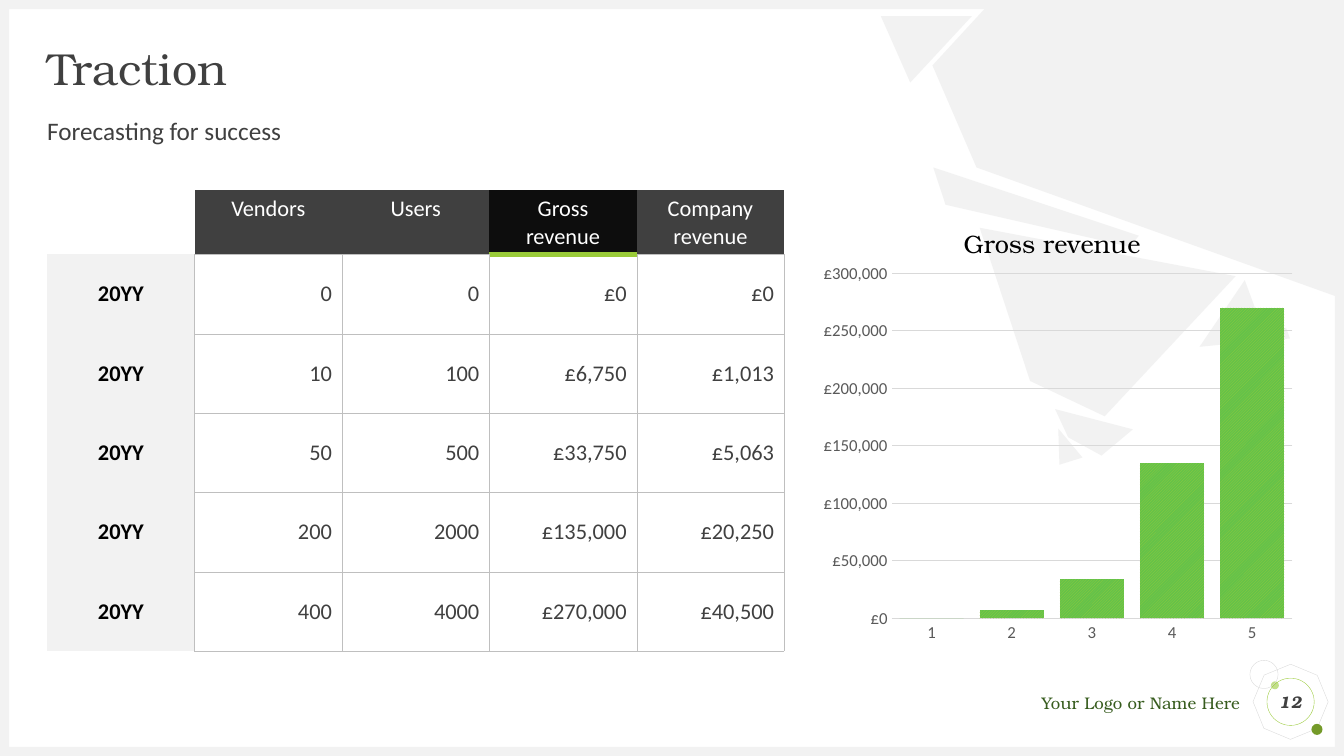
from lxml.etree import SubElement
from pptx import Presentation
from pptx.chart.data import CategoryChartData
from pptx.dml.color import RGBColor
from pptx.enum.chart import XL_CHART_TYPE, XL_TICK_MARK
from pptx.enum.dml import MSO_PATTERN
from pptx.enum.shapes import MSO_SHAPE
from pptx.enum.text import MSO_ANCHOR, PP_ALIGN
from pptx.oxml import parse_xml
from pptx.oxml.ns import nsdecls, qn
from pptx.util import Cm, Pt

SERIF, SANS = "TeX Gyre Bonum", "Calibri"
DARK, PALE, GRID, LINE, LIME = "404040", "F2F2F2", "BFBFBF", "D9D9D9", "9ACB39"
WIDTH, HEIGHT, EDGE = 33.87, 19.05, 0.23
MARGIN, CONTENT_TOP = 1.19, 4.8

HEADERS = ["", "Vendors", "Users", "Gross revenue", "Company revenue"]
ROWS = [
    ["20YY", "0", "0", "£0", "£0"],
    ["20YY", "10", "100", "£6,750", "£1,013"],
    ["20YY", "50", "500", "£33,750", "£5,063"],
    ["20YY", "200", "2000", "£135,000", "£20,250"],
    ["20YY", "400", "4000", "£270,000", "£40,500"],
]
HIGHLIGHT = HEADERS.index("Gross revenue")
TABLE_WIDTH, HEADER_HEIGHT, ROW_HEIGHT = 18.57, 1.6, 2.0

CHART_TITLE = "Gross revenue"
CHART_VALUES = {"1": 0, "2": 7000, "3": 34000, "4": 135000, "5": 270000}
CHART_BOX = (20.52, CONTENT_TOP, 12.17, 11.6)
TITLE_LAYOUT = {"xMode": "edge", "yMode": "edge", "x": 0.3, "y": 0.06}
PLOT_LAYOUT = {"layoutTarget": "inner", "xMode": "edge", "yMode": "edge",
               "x": 0.16, "y": 0.18, "w": 0.83, "h": 0.75}

# Text, box, format of the span, format of the paragraph, anchor
TEXTS = [
    ("Your Logo or Name Here", (24.26, 17.45, 6.99, 0.51),
     {"name": SERIF, "size": Pt(12), "color": "375C1E"},
     {"alignment": PP_ALIGN.RIGHT}, MSO_ANCHOR.TOP),
    ("Traction", (MARGIN, 1.19, 31.5, 1.19),
     {"name": SERIF, "size": Pt(32), "color": DARK},
     {"line_spacing": 0.9}, MSO_ANCHOR.MIDDLE),
    ("Forecasting for success", (MARGIN, 3, 31.5, 0.76),
     {"name": SANS, "size": Pt(18), "color": DARK},
     {"line_spacing": 0.9, "space_before": Pt(10)}, MSO_ANCHOR.TOP),
]
FRAME = [
    (0, HEIGHT - EDGE, WIDTH, EDGE),
    (0, 0, WIDTH, EDGE),
    (0, 0, EDGE, HEIGHT),
    (WIDTH - EDGE, 0, EDGE, HEIGHT),
]
SHARDS = [
    [(22.2, 0.41), (24.49, 0.41), (22.94, 2.08)],
    [(25.02, 0), (33.87, 0), (33.87, 7.54), (24.61, 4.22), (23.5, 1.65)],
    [(24.69, 5.74), (31.14, 6.96), (27.84, 10.49), (25.96, 9.6)],
    [(26.67, 10.8), (27.28, 11.53), (26.7, 11.71)],
    [(26.59, 10.31), (28.55, 10.82), (27.76, 11.48), (26.92, 11.02)],
    [(23.52, 4.22), (28.7, 5.94), (28.47, 6.22), (23.83, 5.16)],
    [(32.41, 8.26), (32.51, 8.53), (31.29, 8.64)],
    [(31.37, 7.06), (31.83, 8.31), (30.73, 8.69), (30.23, 8.74)],
]
# Preset, left, top, size, fill, line, rotation
ORNAMENTS = [
    (MSO_SHAPE.OCTAGON, 31.65, 16.81, 1.75, None, LINE, 22.7),
    (MSO_SHAPE.OVAL, 32.03, 17.17, 0.2, "C2E088", None, 0),
    (MSO_SHAPE.OVAL, 33.05, 18.24, 0.28, "749A29", None, 0),
    (MSO_SHAPE.OVAL, 31.5, 16.64, 0.71, None, LINE, 0),
]


def rgb(value):
    return RGBColor.from_string(value)


def apply(target, values):
    for name, value in values.items():
        if name == "color":
            target.color.rgb = rgb(value)
        else:
            setattr(target, name, value)


def paint(shape, fill=None, line=None):
    shape.shadow.inherit = False
    if fill:
        shape.fill.solid()
        shape.fill.fore_color.rgb = rgb(fill)
    else:
        shape.fill.background()
    if line:
        apply(shape.line, {"color": line, "width": Pt(0.25)})
    else:
        shape.line.fill.background()


def add_preset(slide, preset, box, fill=None, line=None):
    shape = slide.shapes.add_shape(preset, *map(Cm, box))
    paint(shape, fill, line)
    return shape


def write(frame, text, font, paragraph):
    para = frame.paragraphs[0]
    span = para.add_run()
    span.text = text
    apply(span.font, font)
    apply(para, paragraph)


def set_frame(frame, anchor):
    apply(frame, {"word_wrap": True, "vertical_anchor": anchor, "margin_left": 0,
                  "margin_right": 0, "margin_top": 0, "margin_bottom": 0})


def draw_backdrop(slide):
    for preset, left, top, size, fill, line, rotation in ORNAMENTS:
        shape = add_preset(slide, preset, (left, top, size, size), fill, line)
        shape.rotation = rotation
    for box in FRAME:
        add_preset(slide, MSO_SHAPE.RECTANGLE, box, PALE)
    for points in SHARDS:
        start, *others = [(Cm(x), Cm(y)) for x, y in points]
        builder = slide.shapes.build_freeform(*start)
        builder.add_line_segments(others)
        paint(builder.convert_to_shape(), PALE)


def cell_borders(row, column):
    """Map each drawn side of a cell to its colour and width in points."""
    thin = (GRID, 0.25)
    divider = (LIME, 4.5) if column == HIGHLIGHT else thin
    if column == 0:
        return {"R": thin} if row else {}
    if row == 0:
        return {"B": divider}
    return {"L": thin, "R": thin, "T": divider if row == 1 else thin, "B": thin}


def draw_borders(cell, borders):
    properties = cell._tc.get_or_add_tcPr()
    for side in "LRTB":
        border = SubElement(properties, qn(f"a:ln{side}"))
        if side in borders:
            color, width = borders[side]
            border.set("w", str(Pt(width)))
            solid = SubElement(border, qn("a:solidFill"))
            SubElement(solid, qn("a:srgbClr")).set("val", color)
        else:
            SubElement(border, qn("a:noFill"))


def cell_look(row, column):
    """Give fill, text colour, alignment and anchor of a cell."""
    if row == 0:
        fill = {0: "FFFFFF", HIGHLIGHT: "0D0D0D"}.get(column, DARK)
        return fill, "FFFFFF", PP_ALIGN.CENTER, MSO_ANCHOR.TOP
    if column == 0:
        return PALE, "000000", PP_ALIGN.CENTER, MSO_ANCHOR.MIDDLE
    return "FFFFFF", DARK, PP_ALIGN.RIGHT, MSO_ANCHOR.MIDDLE


def draw_table(slide):
    height = HEADER_HEIGHT + ROW_HEIGHT * len(ROWS)
    box = map(Cm, (MARGIN, CONTENT_TOP, TABLE_WIDTH, height))
    table = slide.shapes.add_table(len(ROWS) + 1, len(HEADERS), *box).table
    apply(table, {"first_row": False, "horz_banding": False})
    for row, texts in enumerate([HEADERS] + ROWS):
        table.rows[row].height = Cm(ROW_HEIGHT if row else HEADER_HEIGHT)
        for column, text in enumerate(texts):
            cell = table.cell(row, column)
            fill, color, alignment, anchor = cell_look(row, column)
            draw_borders(cell, cell_borders(row, column))
            cell.fill.solid()
            cell.fill.fore_color.rgb = rgb(fill)
            cell.vertical_anchor = anchor
            if text:
                font = {"name": SANS, "size": Pt(16), "color": color,
                        "bold": row > 0 and column == 0}
                write(cell.text_frame, text, font, {"alignment": alignment})


def place(element, before, layout):
    """Insert a manual layout into a chart element, ahead of a child."""
    items = "".join(f'<c:{name} val="{value}"/>' for name, value in layout.items())
    for old in element.findall(qn("c:layout")):
        element.remove(old)
    element.find(qn(before)).addprevious(parse_xml(
        f'<c:layout {nsdecls("c")}><c:manualLayout>{items}</c:manualLayout></c:layout>'))


def draw_chart(slide):
    data = CategoryChartData(number_format='"£"#,##0')
    data.categories = list(CHART_VALUES)
    data.add_series("Series 1", list(CHART_VALUES.values()))
    chart = slide.shapes.add_chart(
        XL_CHART_TYPE.COLUMN_CLUSTERED, *map(Cm, CHART_BOX), data).chart
    apply(chart, {"has_legend": False, "has_title": True})
    apply(chart.font, {"name": SANS, "size": Pt(10), "color": "000000"})
    write(chart.chart_title.text_frame, CHART_TITLE,
          {"name": SERIF, "size": Pt(18), "bold": False, "color": "000000"}, {})
    place(chart.chart_title._element, "c:overlay", TITLE_LAYOUT)
    place(chart._chartSpace.chart.plotArea, "c:barChart", PLOT_LAYOUT)

    for axis in (chart.category_axis, chart.value_axis):
        axis.major_tick_mark = axis.minor_tick_mark = XL_TICK_MARK.NONE
        apply(axis.tick_labels.font, {"name": SANS, "size": Pt(12), "color": "595959"})
    values = chart.value_axis
    apply(values, {"minimum_scale": 0, "maximum_scale": 300000, "major_unit": 50000})
    apply(values.tick_labels, {"number_format": '"£"#,##0', "number_format_is_linked": False})
    values.format.line.fill.background()
    for line in (chart.category_axis.format.line, values.major_gridlines.format.line):
        apply(line, {"color": LINE, "width": Pt(0.75)})

    plot = chart.plots[0]
    apply(plot, {"gap_width": 25, "vary_by_categories": False})
    fill = plot.series[0].format.fill
    fill.patterned()
    fill.pattern = MSO_PATTERN.DARK_UPWARD_DIAGONAL
    fill.fore_color.rgb, fill.back_color.rgb = rgb(LIME), rgb("64C24A")


def main():
    deck = Presentation()
    deck.slide_width, deck.slide_height = Cm(WIDTH), Cm(HEIGHT)
    slide = deck.slides.add_slide(deck.slide_layouts[6])
    draw_backdrop(slide)
    for text, box, font, paragraph, anchor in TEXTS:
        frame = slide.shapes.add_textbox(*map(Cm, box)).text_frame
        set_frame(frame, anchor)
        write(frame, text, font, paragraph)
    draw_table(slide)
    draw_chart(slide)
    badge = add_preset(slide, MSO_SHAPE.OVAL, (31.93, 17.09, 1.19, 1.19), line=LIME)
    set_frame(badge.text_frame, MSO_ANCHOR.MIDDLE)
    write(badge.text_frame, "12",
          {"name": SERIF, "size": Pt(12), "bold": True, "italic": True, "color": DARK},
          {"alignment": PP_ALIGN.CENTER})
    deck.save("out.pptx")


if __name__ == "__main__":
    main()
